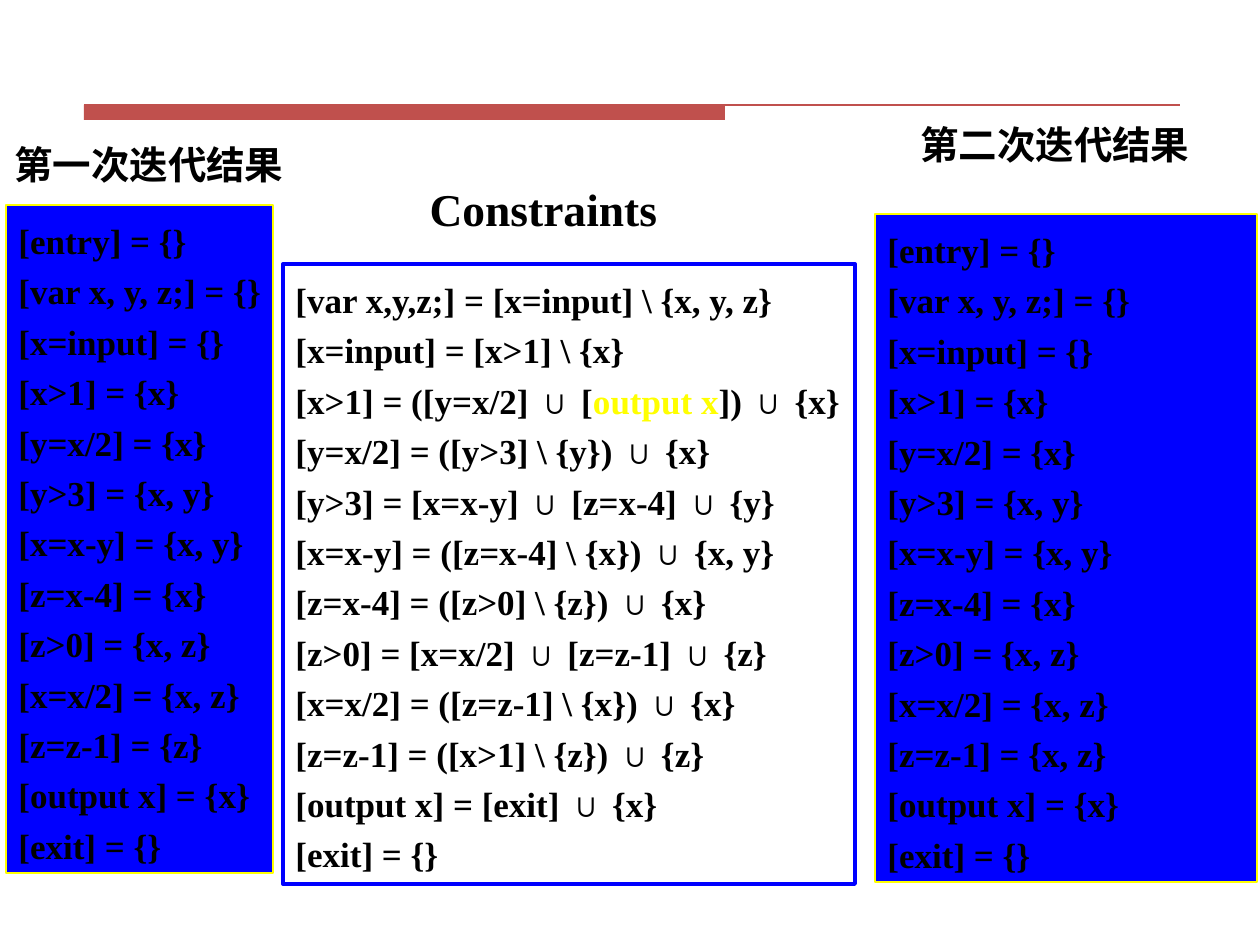
import pptx
import pptx.dml.color
import pptx.enum.shapes
import pptx.enum.text
import pptx.oxml
import pptx.oxml.ns
import pptx.util

RGB = pptx.dml.color.RGBColor
BLACK = RGB(0x00, 0x00, 0x00)
WHITE = RGB(0xFF, 0xFF, 0xFF)
BLUE = RGB(0x00, 0x00, 0xFF)
YELLOW = RGB(0xFF, 0xFF, 0x00)
RED = RGB(0xC0, 0x50, 0x4D)

FONT = "Times New Roman"
PX_PER_INCH = 126
HIGHLIGHT = "output x"

FIRST_RESULT = [
    "[entry] = {}",
    "[var x, y, z;] = {}",
    "[x=input] = {}",
    "[x>1] = {x}",
    "[y=x/2] = {x}",
    "[y>3] = {x, y}",
    "[x=x-y] = {x, y}",
    "[z=x-4] = {x}",
    "[z>0] = {x, z}",
    "[x=x/2] = {x, z}",
    "[z=z-1] = {z}",
    "[output x] = {x}",
    "[exit] = {}",
]
SECOND_RESULT = [
    "[z=z-1] = {x, z}" if line.startswith("[z=z-1]") else line
    for line in FIRST_RESULT
]
CONSTRAINTS = [
    "[var x,y,z;] = [x=input] \\ {x, y, z}",
    "[x=input] = [x>1] \\ {x}",
    "[x>1] = ([y=x/2] ∪ [output x]) ∪ {x}",
    "[y=x/2] = ([y>3] \\ {y}) ∪ {x}",
    "[y>3] = [x=x-y] ∪ [z=x-4] ∪ {y}",
    "[x=x-y] = ([z=x-4] \\ {x}) ∪ {x, y}",
    "[z=x-4] = ([z>0] \\ {z}) ∪ {x}",
    "[z>0] = [x=x/2] ∪ [z=z-1] ∪ {z}",
    "[x=x/2] = ([z=z-1] \\ {x}) ∪ {x}",
    "[z=z-1] = ([x>1] \\ {z}) ∪ {z}",
    "[output x] = [exit] ∪ {x}",
    "[exit] = {}",
]


def px(n):
    return pptx.util.Emu(round(n * 914400 / PX_PER_INCH))


def format_run(r, size, color=BLACK):
    r.font.name = FONT
    r.font.size = pptx.util.Pt(size)
    r.font.bold = True
    r.font.color.rgb = color


def format_frame(tf):
    tf.word_wrap = True
    tf.margin_right = px(4)
    tf.auto_size = pptx.enum.text.MSO_AUTO_SIZE.SHAPE_TO_FIT_TEXT
    tf.vertical_anchor = pptx.enum.text.MSO_ANCHOR.TOP


def format_heading(sp, text, size):
    format_frame(sp.text_frame)
    sp.text_frame.text = text
    p = sp.text_frame.paragraphs[0]
    p.alignment = pptx.enum.text.PP_ALIGN.LEFT
    format_run(p.runs[0], size)


def add_title(s, text, x, y, w, h):
    sp = s.shapes.title
    sp.left, sp.top, sp.width, sp.height = px(x), px(y), px(w), px(h)
    format_heading(sp, text, 26)


def add_label(s, text, x, y, w, h):
    sp = s.shapes.add_textbox(px(x), px(y), px(w), px(h))
    format_heading(sp, text, 22)


def add_box(s, x, y, w, h, fill):
    shape_type = pptx.enum.shapes.MSO_SHAPE.RECTANGLE
    sp = s.shapes.add_shape(shape_type, px(x), px(y), px(w), px(h))
    sp.shadow.inherit = False
    sp.fill.solid()
    sp.fill.fore_color.rgb = fill
    return sp


def add_panel(s, lines, x, y, w, h, fill, border, border_pt, marked=None):
    sp = add_box(s, x, y, w, h, fill)
    sp.line.color.rgb = border
    sp.line.width = pptx.util.Pt(border_pt)
    tf = sp.text_frame
    format_frame(tf)
    for i, line in enumerate(lines):
        p = tf.add_paragraph() if i else tf.paragraphs[0]
        p.alignment = pptx.enum.text.PP_ALIGN.LEFT
        p.line_spacing = 1.2
        if i == marked:
            before, after = line.split(HIGHLIGHT)
            parts = [(before, BLACK), (HIGHLIGHT, YELLOW), (after, BLACK)]
        else:
            parts = [(line, BLACK)]
        for text, color in parts:
            r = p.add_run()
            r.text = text
            format_run(r, 20, color)


def add_rule(s, x, y, bar_w, bar_h, line_w):
    bar = add_box(s, x, y, bar_w, bar_h, RED)
    bar.line.fill.background()
    straight = pptx.enum.shapes.MSO_CONNECTOR.STRAIGHT
    cx = s.shapes.add_connector(straight, px(x), px(y), px(x + line_w), px(y))
    cx.line.color.rgb = RED
    cx.line.width = pptx.util.Pt(0.75)
    sp_pr = cx._element.spPr
    sp_pr.append(pptx.oxml.parse_xml(
        "<a:effectLst %s/>" % pptx.oxml.ns.nsdecls("a")))


def main():
    prs = pptx.Presentation()
    prs.slide_width = px(1260)
    prs.slide_height = px(945)
    s = prs.slides.add_slide(prs.slide_layouts[5])
    add_rule(s, 84, 105, 641, 15, 1096)
    add_panel(s, SECOND_RESULT, 875, 214, 382, 668, BLUE, YELLOW, 0.75)
    add_panel(s, FIRST_RESULT, 6, 205, 267, 668, BLUE, YELLOW, 0.75)
    add_panel(s, CONSTRAINTS, 283, 264, 572, 620, WHITE, BLUE, 2.25, 2)
    add_label(s, "第一次迭代结果", 2, 135, 318, 59)
    add_label(s, "第二次迭代结果", 908, 115, 318, 59)
    add_title(s, "Constraints", 417, 175, 253, 67)
    prs.save("out.pptx")


if __name__ == "__main__":
    main()
